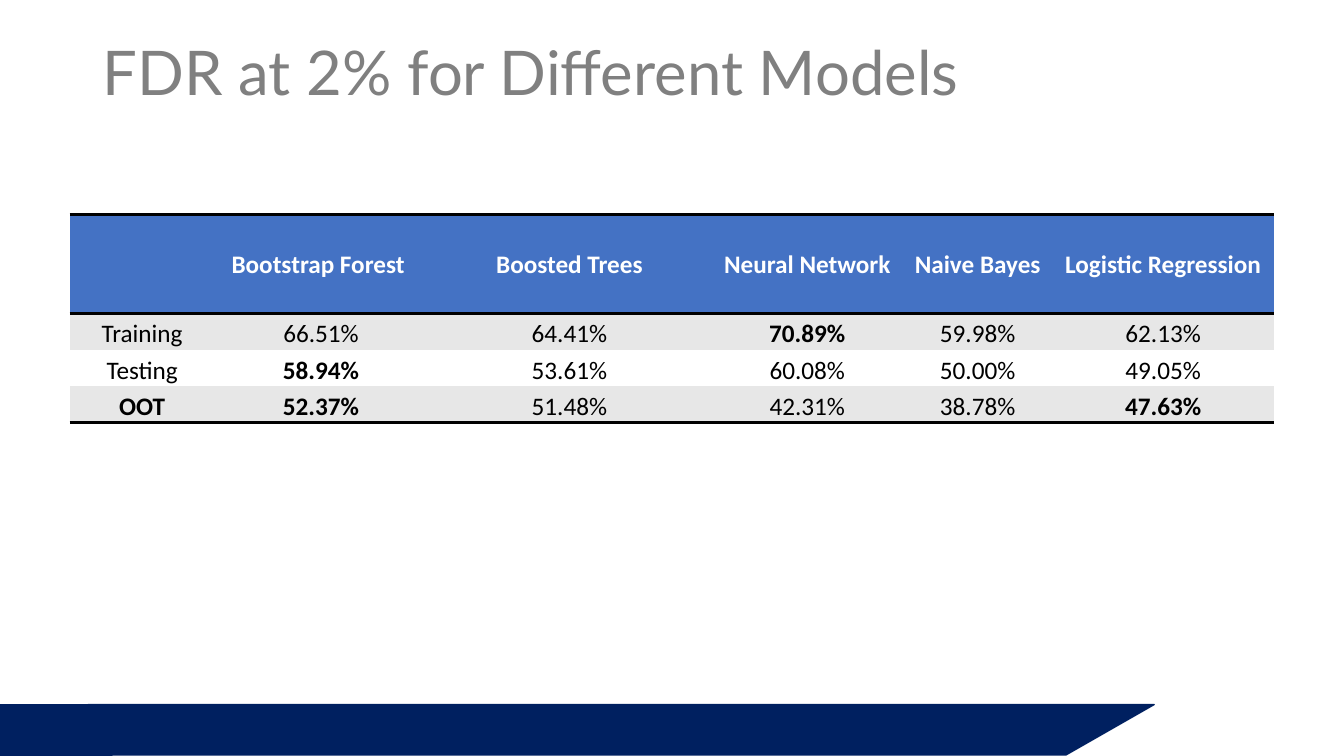
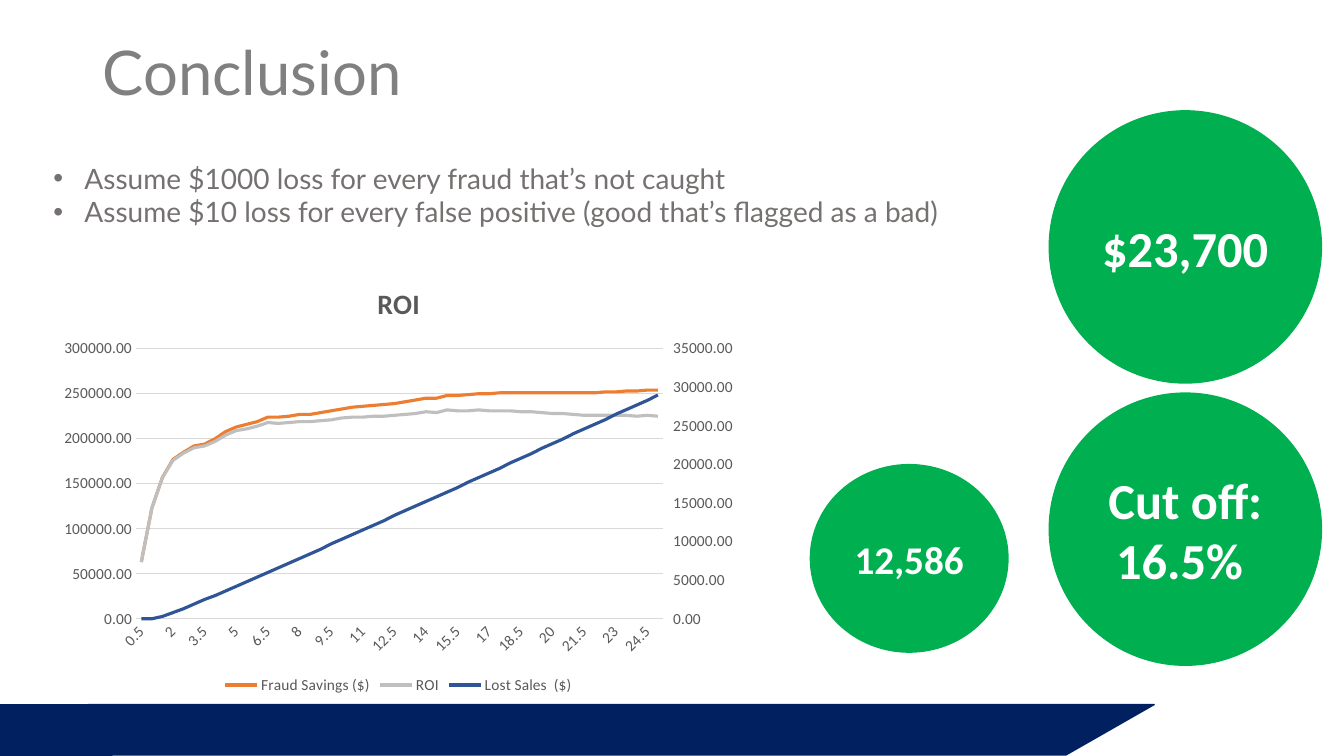
from copy import deepcopy
from dataclasses import dataclass

from lxml import etree
from pptx import Presentation
from pptx import util as u
from pptx.chart.data import CategoryChartData
from pptx.dml.color import RGBColor
from pptx.enum import chart as charts, shapes, text
from pptx.oxml.ns import qn


@dataclass(frozen=True)
class Theme:
    navy: str = "002060"
    green: str = "00B050"
    blue: str = "4472C4"
    black: str = "000000"
    white: str = "FFFFFF"
    band: str = "E7E7E7"
    title: str = "808080"
    body: str = "767171"
    axis: str = "595959"
    grid: str = "D9D9D9"
    series: tuple = ("ED7D31", "BFBFBF", "2F5597")
    heading_font: str = "Lato"
    font: str = "Calibri"
    title_size: int = 44
    figure_size: int = 36
    small_figure_size: int = 28
    body_size: int = 20
    table_size: int = 18
    axis_size: int = 11


THEME = Theme()
NO_TABLE_STYLE = "{2D5ABB26-0587-4C30-8999-92F81FD0307C}"

COLUMN_WIDTHS = (1.44, 2.11, 2.82, 1.9, 1.48, 2.2)
ROW_HEIGHTS = (0.98, 0.36, 0.36, 0.36)
MODEL_ROWS = (
    ("", "Bootstrap Forest ", "Boosted Trees", "Neural Network", "Naive Bayes",
     "Logistic Regression"),
    ("Training", "66.51%", "64.41%", "70.89%", "59.98%", "62.13%"),
    ("Testing", "58.94%", "53.61%", "60.08%", "50.00%", "49.05%"),
    ("OOT", "52.37%", "51.48%", "42.31%", "38.78%", "47.63%"),
)
BOLD_CELLS = {(1, 3), (2, 1), (3, 0), (3, 1), (3, 5)}

SAVINGS_THOUSANDS = (
    63, 123, 157, 177, 185, 192, 194, 200, 208, 213, 216, 219, 224, 224, 225, 227, 227,
    229, 231, 233, 235, 236, 237, 238, 239, 241, 243, 245, 245, 248, 248, 249, 250, 250,
    251, 251, 251, 251, 251, 251, 251, 251, 251, 251, 252, 252, 253, 253, 254, 254)
ROI_THOUSANDS = (
    63, 123, 157, 176, 184, 190, 192, 197, 204, 209, 211, 214, 218, 217, 218, 219, 219,
    220, 221, 223, 224, 224, 225, 225, 226, 227, 228, 230, 229, 232, 231, 231, 232, 231,
    231, 231, 230, 230, 229, 228, 228, 227, 226, 226, 226, 226, 226, 225, 226, 225)
LOST_HUNDREDS = (
    0, 0, 3, 8, 13, 19, 25, 30, 36, 42, 48, 54, 60, 66, 72, 78, 84, 90, 97, 103, 109, 115,
    121, 127, 134, 140, 146, 152, 158, 164, 170, 177, 183, 189, 195, 202, 208, 214, 221,
    227, 233, 240, 246, 252, 258, 265, 271, 277, 283, 290)
SERIES = (
    ("Fraud Savings ($)", SAVINGS_THOUSANDS, 1000),
    ("ROI", ROI_THOUSANDS, 1000),
    ("Lost Sales  ($)", LOST_HUNDREDS, 100),
)


def rgb(color):
    return RGBColor.from_string(color)


def inches(values):
    return [u.Inches(value) for value in values]


def style_font(font, size, color, name=THEME.font, bold=False):
    font.name = name
    font.size = u.Pt(size)
    font.bold = bold
    font.color.rgb = rgb(color)


def add_run(paragraph, content, *style, **options):
    run = paragraph.add_run()
    run.text = content
    style_font(run.font, *style, **options)


def add_filled_shape(slide, kind, box, color):
    shape = slide.shapes.add_shape(kind, *inches(box))
    shape.shadow.inherit = False
    shape.fill.solid()
    shape.fill.fore_color.rgb = rgb(color)
    shape.line.color.rgb = rgb(color)
    shape.line.width = u.Pt(1)
    return shape


def add_text_box(slide, box):
    frame = slide.shapes.add_textbox(*inches(box)).text_frame
    frame.word_wrap = True
    return frame


def add_footer(slide):
    kinds = shapes.MSO_SHAPE
    ribbon = add_filled_shape(slide, kinds.PARALLELOGRAM, (0, 6.99, 11.45, 0.5), THEME.navy)
    ribbon.adjustments[0] = 1.75
    add_filled_shape(slide, kinds.RECTANGLE, (0, 6.99, 1.11, 0.5), THEME.navy)


def add_title(slide, title):
    frame = add_text_box(slide, (0.92, 0.24, 11.5, 1.02))
    frame.vertical_anchor = text.MSO_ANCHOR.MIDDLE
    paragraph = frame.paragraphs[0]
    paragraph.line_spacing = 0.9
    add_run(paragraph, title, THEME.title_size, THEME.title, name=THEME.heading_font)


def add_slide(presentation, title):
    slide = presentation.slides.add_slide(presentation.slide_layouts[6])
    add_footer(slide)
    add_title(slide, title)
    return slide


def add_border(cell, side, position):
    line = etree.Element(qn(f"a:{side}"), w=str(u.Pt(2)))
    fill = etree.SubElement(line, qn("a:solidFill"))
    etree.SubElement(fill, qn("a:srgbClr"), val=THEME.black)
    cell._tc.get_or_add_tcPr().insert(position, line)


def fill_cell(cell, content, row, bold):
    header = row == 0
    cell.margin_left = cell.margin_top = cell.margin_right = u.Inches(0.01)
    cell.margin_bottom = 0
    cell.vertical_anchor = text.MSO_ANCHOR.MIDDLE if header else text.MSO_ANCHOR.BOTTOM
    cell.fill.solid()
    fill = THEME.blue if header else THEME.band if row % 2 else THEME.white
    cell.fill.fore_color.rgb = rgb(fill)
    if header:
        add_border(cell, "lnT", 0)
        add_border(cell, "lnB", 1)
    elif row == len(MODEL_ROWS) - 1:
        add_border(cell, "lnB", 0)
    if content:
        paragraph = cell.text_frame.paragraphs[0]
        paragraph.alignment = text.PP_ALIGN.CENTER
        color = THEME.white if header else THEME.black
        add_run(paragraph, content, THEME.table_size, color, bold=header or bold)


def add_model_table(slide):
    box = (0.69, 2.13, sum(COLUMN_WIDTHS), sum(ROW_HEIGHTS))
    table = slide.shapes.add_table(len(ROW_HEIGHTS), len(COLUMN_WIDTHS), *inches(box)).table
    table._tbl.tblPr.find(qn("a:tableStyleId")).text = NO_TABLE_STYLE
    table.horz_banding = False
    for column, width in zip(table.columns, inches(COLUMN_WIDTHS)):
        column.width = width
    for table_row, height in zip(table.rows, inches(ROW_HEIGHTS)):
        table_row.height = height
    for row, contents in enumerate(MODEL_ROWS):
        for column, content in enumerate(contents):
            fill_cell(table.cell(row, column), content, row, (row, column) in BOLD_CELLS)


def add_circle(slide, box, content, size):
    circle = add_filled_shape(slide, shapes.MSO_SHAPE.OVAL, box, THEME.green)
    frame = circle.text_frame
    frame.word_wrap = True
    frame.vertical_anchor = text.MSO_ANCHOR.MIDDLE
    paragraph = frame.paragraphs[0]
    paragraph.alignment = text.PP_ALIGN.CENTER
    add_run(paragraph, content, size, THEME.white, bold=True)


def add_bullets(slide, box, items):
    frame = add_text_box(slide, box)
    for index, item in enumerate(items):
        paragraph = frame.add_paragraph() if index else frame.paragraphs[0]
        properties = paragraph._p.get_or_add_pPr()
        indent = u.Inches(0.31)
        properties.set("marL", str(indent))
        properties.set("indent", str(-indent))
        etree.SubElement(properties, qn("a:buFont"), typeface="Arial")
        etree.SubElement(properties, qn("a:buChar"), char="•")
        add_run(paragraph, item, THEME.body_size, THEME.body, name=THEME.heading_font)


def set_value(parent, tag, value):
    parent.find(qn(tag)).set("val", value)


def set_plot_layout(plot_area, **fractions):
    for layout in plot_area.findall(qn("c:layout")):
        plot_area.remove(layout)
    layout = etree.Element(qn("c:layout"))
    manual = etree.SubElement(layout, qn("c:manualLayout"))
    settings = {"layoutTarget": "inner", "xMode": "edge", "yMode": "edge", **fractions}
    for tag, value in settings.items():
        etree.SubElement(manual, qn(f"c:{tag}"), val=str(value))
    plot_area.insert(0, layout)


def move_last_series_right(plot_area, maximum):
    left_plot = plot_area.find(qn("c:lineChart"))
    right_plot = deepcopy(left_plot)
    series_tag = qn("c:ser")
    left_plot.remove(left_plot.findall(series_tag)[-1])
    for series in right_plot.findall(series_tag)[:-1]:
        right_plot.remove(series)
    left_plot.addnext(right_plot)

    category_id, value_id = "50010", "50020"
    for element, value in zip(right_plot.findall(qn("c:axId")), (category_id, value_id)):
        element.set("val", value)
    left_axis = plot_area.find(qn("c:valAx"))
    right_axis = deepcopy(left_axis)
    hidden_axis = deepcopy(plot_area.find(qn("c:catAx")))
    set_value(right_axis, "c:axId", value_id)
    set_value(right_axis, "c:crossAx", category_id)
    set_value(right_axis, "c:axPos", "r")
    set_value(right_axis, "c:crosses", "max")
    set_value(right_axis, "c:majorTickMark", "out")
    set_value(right_axis.find(qn("c:scaling")), "c:max", str(maximum))
    right_axis.remove(right_axis.find(qn("c:majorGridlines")))
    set_value(hidden_axis, "c:axId", category_id)
    set_value(hidden_axis, "c:crossAx", value_id)
    set_value(hidden_axis, "c:delete", "1")
    left_axis.addnext(right_axis)
    right_axis.addnext(hidden_axis)


def style_axes(chart):
    category, value = chart.category_axis, chart.value_axis
    for axis in (category, value):
        style_font(axis.tick_labels.font, THEME.axis_size, THEME.axis)
        axis.major_tick_mark = charts.XL_TICK_MARK.NONE
        axis.minor_tick_mark = charts.XL_TICK_MARK.NONE
    value.minimum_scale, value.maximum_scale = 0, 300000
    value.has_major_gridlines = True
    value.tick_labels.number_format = "0.00"
    value.tick_labels.number_format_is_linked = False
    value.format.line.fill.background()
    for line in (category.format.line, value.major_gridlines.format.line):
        line.color.rgb = rgb(THEME.grid)
        line.width = u.Pt(0.75)
    axis_element = category._element
    axis_element.find(qn("c:txPr")).find(qn("a:bodyPr")).set("rot", "-2700000")
    skip = etree.Element(qn("c:tickLblSkip"), val="3")
    axis_element.find(qn("c:noMultiLvlLbl")).addprevious(skip)


def add_roi_chart(slide, box):
    data = CategoryChartData(number_format="0.00")
    data.categories = [f"{step / 2:g}" for step in range(1, len(ROI_THOUSANDS) + 1)]
    for name, values, unit in SERIES:
        data.add_series(name, [value * unit for value in values])
    chart = slide.shapes.add_chart(charts.XL_CHART_TYPE.LINE, *inches(box), data).chart
    style_font(chart.font, THEME.axis_size, THEME.axis)
    chart.has_title = True
    add_run(chart.chart_title.text_frame.paragraphs[0], "ROI", THEME.body_size,
            THEME.axis, bold=True)
    chart.has_legend = True
    chart.legend.position = charts.XL_LEGEND_POSITION.BOTTOM
    chart.legend.include_in_layout = False
    style_font(chart.legend.font, THEME.axis_size, THEME.axis)
    style_axes(chart)
    plot = chart.plots[0]
    plot.vary_by_categories = False
    for series, color in zip(plot.series, THEME.series):
        series.smooth = False
        series.format.line.color.rgb = rgb(color)
        series.format.line.width = u.Pt(2.25)
    plot_area = chart.element.find(qn("c:chart")).find(qn("c:plotArea"))
    move_last_series_right(plot_area, 35000)
    width, height = box[2:]
    set_plot_layout(plot_area, x=0.85 / width, y=0.83 / height,
                    w=5.23 / width, h=2.68 / height)


def main():
    presentation = Presentation()
    presentation.slide_width, presentation.slide_height = inches((40 / 3, 7.5))
    add_model_table(add_slide(presentation, "FDR at 2% for Different Models"))

    conclusion = add_slide(presentation, "Conclusion")
    for top, content in ((1.1, "$23,700"), (3.9, "Cut off: 16.5% ")):
        add_circle(conclusion, (10.41, top, 2.7, 2.7), content, THEME.figure_size)
    add_roi_chart(conclusion, (0.5, 2.63, 6.91, 4.3))
    add_bullets(conclusion, (0.43, 1.55, 9.18, 1.11), (
        "Assume $1000 loss for every fraud that’s not caught",
        "Assume $10 loss for every false positive (good that’s flagged as a bad)"))
    add_circle(conclusion, (8.04, 4.61, 1.96, 1.86), "12,586", THEME.small_figure_size)
    presentation.save("out.pptx")


if __name__ == "__main__":
    main()
